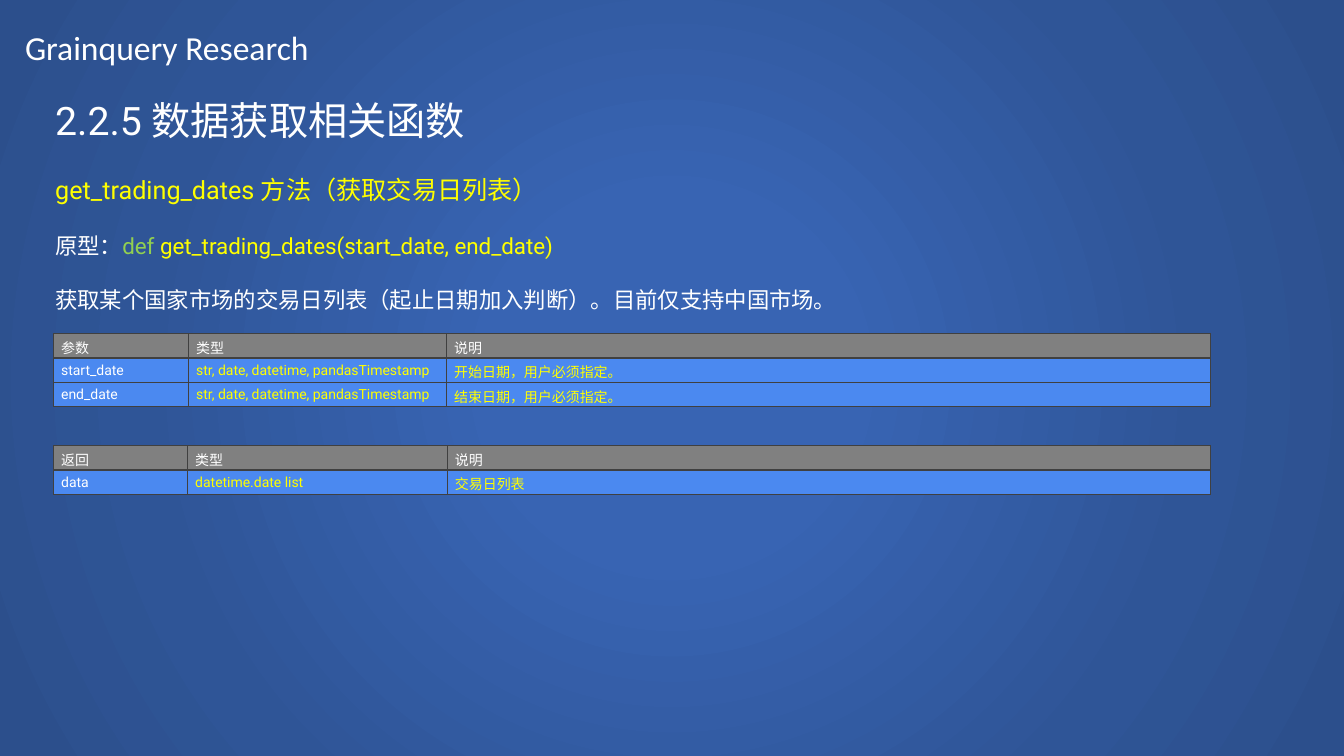
from pptx import Presentation
from pptx.dml.color import RGBColor
from pptx.enum.shapes import MSO_SHAPE
from pptx.enum.text import MSO_ANCHOR
from pptx.oxml import parse_xml
from pptx.oxml.ns import nsdecls, qn
from pptx.util import Pt

WHITE, YELLOW, GREEN = "FFFFFF", "FFFF00", "92D050"
GRAY, BLUE, BORDER = "808080", "4B89F0", "404040"
GRADIENT = [(0, "3864B3"), (23, "3864B3"), (69, "2F5597"), (97, "2C4F8C")]
WIDTH, HEIGHT = 960, 540
ROW_HEIGHT = 17.4
TABLE_LEFT = 38.3


def color(hex_code):
    return RGBColor.from_string(hex_code)


def add_span(para, text, size, hex_code, font="Roboto"):
    span = para.add_run()
    span.text = text
    span.font.name = font
    span.font.size = Pt(size)
    span.font.color.rgb = color(hex_code)


def add_background(page):
    """Full-page rectangle with a circular gradient."""
    panel = page.shapes.add_shape(MSO_SHAPE.RECTANGLE, 0, 0, Pt(WIDTH), Pt(HEIGHT))
    panel.shadow.inherit = False
    panel.line.fill.background()
    panel.fill.background()
    stops = "".join(
        f'<a:gs pos="{percent * 1000}"><a:srgbClr val="{code}"/></a:gs>'
        for percent, code in GRADIENT
    )
    gradient = parse_xml(
        f'<a:gradFill {nsdecls("a")} rotWithShape="1"><a:gsLst>{stops}</a:gsLst>'
        '<a:path path="circle"><a:fillToRect l="50000" t="50000" r="50000" b="50000"/>'
        "</a:path></a:gradFill>"
    )
    properties = panel._element.spPr
    properties.replace(properties.find(qn("a:noFill")), gradient)


def add_text(page, left, top, width, height, lines, font="Roboto"):
    """Each line is (space before, size, [(text, colour), ...])."""
    box = page.shapes.add_textbox(Pt(left), Pt(top), Pt(width), Pt(height))
    frame = box.text_frame
    frame.word_wrap = True
    for index, (gap, size, spans) in enumerate(lines):
        para = frame.add_paragraph() if index else frame.paragraphs[0]
        para.space_before = Pt(gap)
        for text, hex_code in spans:
            add_span(para, text, size, hex_code, font)


def add_borders(cell):
    properties = cell._tc.get_or_add_tcPr()
    for side in ("lnL", "lnR", "lnT", "lnB"):
        properties.append(parse_xml(
            f'<a:{side} {nsdecls("a")} w="{Pt(1)}"><a:solidFill>'
            f'<a:srgbClr val="{BORDER}"/></a:solidFill></a:{side}>'
        ))


def fill_cell(cell, text, back, fore):
    add_borders(cell)
    cell.fill.solid()
    cell.fill.fore_color.rgb = color(back)
    cell.vertical_anchor = MSO_ANCHOR.MIDDLE
    cell.margin_left = cell.margin_right = Pt(5.4)
    cell.margin_top = cell.margin_bottom = Pt(2.7)
    add_span(cell.text_frame.paragraphs[0], text, 10, fore)


def add_grid(page, top, widths, rows):
    """Gray header row, blue body rows with a white first column."""
    table = page.shapes.add_table(
        len(rows), len(widths), Pt(TABLE_LEFT), Pt(top),
        Pt(sum(widths)), Pt(ROW_HEIGHT * len(rows)),
    ).table
    table.first_row = table.horz_banding = False
    for column, width in zip(table.columns, widths):
        column.width = Pt(width)
    for r, texts in enumerate(rows):
        table.rows[r].height = Pt(ROW_HEIGHT)
        for c, text in enumerate(texts):
            back = BLUE if r else GRAY
            fore = YELLOW if r and c else WHITE
            fill_cell(table.cell(r, c), text, back, fore)


def main():
    deck = Presentation()
    deck.slide_width, deck.slide_height = Pt(WIDTH), Pt(HEIGHT)
    page = deck.slides.add_slide(deck.slide_layouts[6])
    add_background(page)

    # Section heading, method and prototype
    add_text(page, 32.4, 65.5, 847.4, 170, [
        (0, 28, [("2.2.5 数据获取相关函数", WHITE)]),
        (22, 18, [("get_trading_dates 方法（获取交易日列表）", YELLOW)]),
        (19.5, 16, [
            ("原型：", WHITE),
            ("def ", GREEN),
            ("get_trading_dates(start_date, end_date)", YELLOW),
        ]),
        (19.5, 16, [
            ("获取某个国家市场的交易日列表（起止日期加入判断）。目前仅支持中国市场。", WHITE),
        ]),
    ])

    # Page title
    add_text(page, 10.8, 15.8, 363, 36,
             [(0, 24, [("Grainquery Research", WHITE)])], "Calibri")

    # Parameters and return value
    date_types = "str, date, datetime, pandasTimestamp"
    add_grid(page, 238.3, [96.5, 184.3, 545.8], [
        ("参数", "类型", "说明"),
        ("start_date", date_types, "开始日期，用户必须指定。"),
        ("end_date", date_types, "结束日期，用户必须指定。"),
    ])
    add_grid(page, 318.3, [95.8, 185.5, 545.3], [
        ("返回", "类型", "说明"),
        ("data", "datetime.date list", "交易日列表"),
    ])
    deck.save("out.pptx")


if __name__ == "__main__":
    main()
